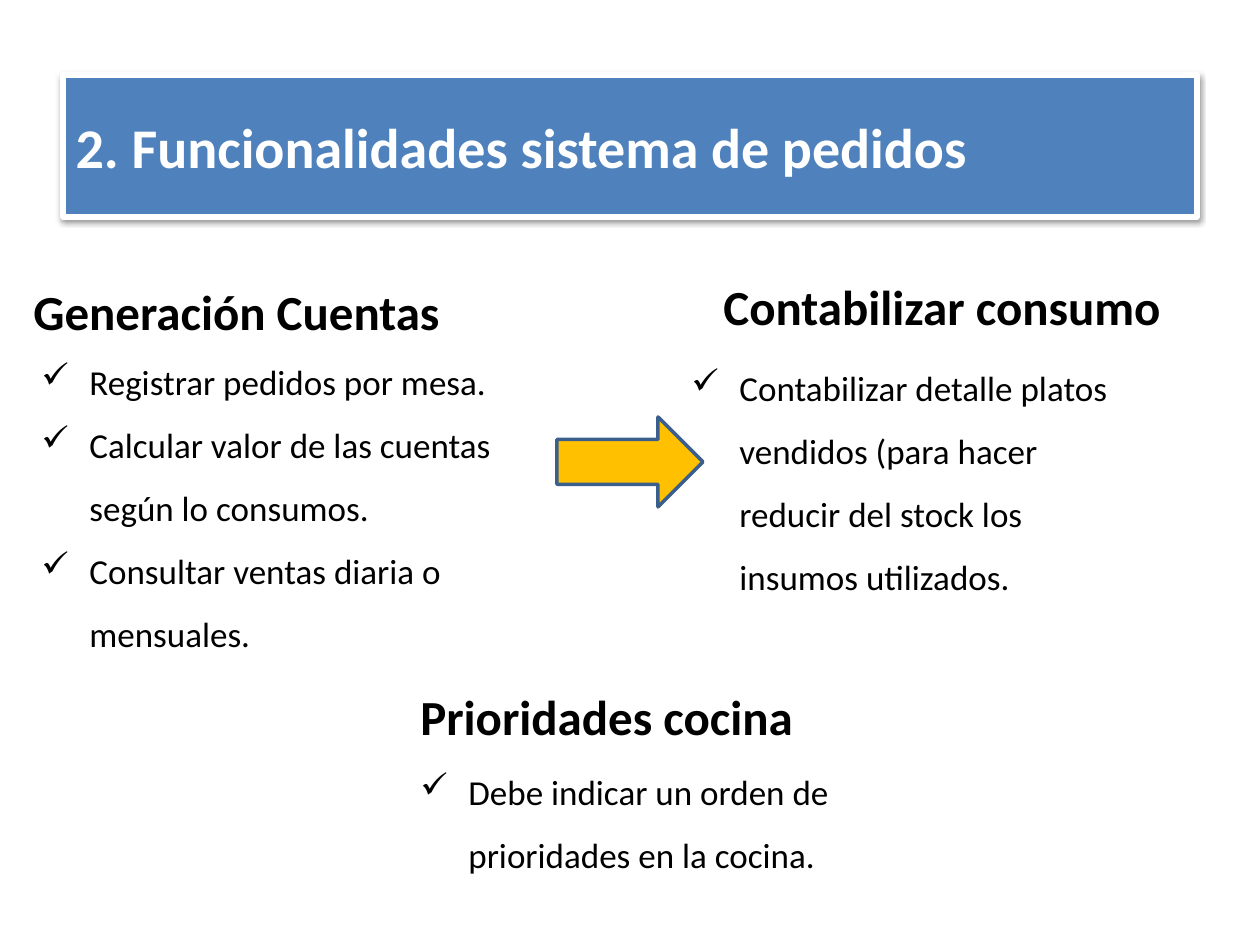
"""Build the slide on the functions of an ordering system."""
from dataclasses import dataclass

from lxml.etree import SubElement
from pptx import Presentation
from pptx.dml.color import RGBColor
from pptx.enum.shapes import MSO_SHAPE
from pptx.enum.text import MSO_ANCHOR, MSO_AUTO_SIZE, PP_ALIGN
from pptx.oxml.ns import qn
from pptx.util import Emu, Pt

SCALE = 914400 / 126
COLORS = {
    "banner": "4F81BD",
    "white": "FFFFFF",
    "black": "000000",
    "arrow": "FFC000",
    "outline": "3A5F8C",
}
TITLE_FONT = {"name": "Calibri", "size": Pt(32), "bold": True}
HEADING_FONT = {"name": "Calibri", "size": Pt(28), "bold": True}
ITEM_FONT = {"name": "Calibri", "size": Pt(20), "bold": False}
HEADING_FORMAT = {"alignment": PP_ALIGN.JUSTIFY}
ITEM_FORMAT = {"alignment": PP_ALIGN.LEFT, "line_spacing": 1.5}


@dataclass(frozen=True)
class Box:
    left: int
    top: int
    width: int
    height: int

    def emu(self) -> list[Emu]:
        return [px(n) for n in (self.left, self.top, self.width, self.height)]


@dataclass(frozen=True)
class Section:
    heading: str
    heading_box: Box
    items: tuple[str, ...]
    items_box: Box


SECTIONS = (
    Section(
        "Contabilizar consumo",
        Box(711, 270, 486, 63),
        ("Contabilizar detalle platos vendidos (para hacer reducir del stock "
         "los insumos utilizados.",),
        Box(679, 339, 466, 292),
    ),
    Section(
        "Generación Cuentas",
        Box(21, 275, 445, 64),
        ("Registrar pedidos por mesa.",
         "Calcular valor de las cuentas según lo consumos.",
         "Consultar ventas diaria o mensuales."),
        Box(29, 333, 493, 413),
    ),
    Section(
        "Prioridades cocina",
        Box(408, 680, 544, 52),
        ("Debe indicar un orden de prioridades en la cocina.",),
        Box(408, 743, 452, 145),
    ),
)


def px(n: int) -> Emu:
    return Emu(round(n * SCALE))


def rgb(name: str) -> RGBColor:
    return RGBColor.from_string(COLORS[name])


def set_attrs(obj, values: dict) -> None:
    for name, value in values.items():
        setattr(obj, name, value)


def write(p, text: str, font: dict, color: str, fmt: dict) -> None:
    set_attrs(p, fmt)
    r = p.add_run()
    r.text = text
    set_attrs(r.font, font)
    r.font.color.rgb = rgb(color)


def paint(sp, fill: str, line: str, width: float) -> None:
    sp.fill.solid()
    sp.fill.fore_color.rgb = rgb(fill)
    sp.line.color.rgb = rgb(line)
    sp.line.width = Pt(width)
    sp.shadow.inherit = False


def add_bullet(p) -> None:
    pPr = p._p.get_or_add_pPr()
    pPr.set("marL", str(px(48)))
    pPr.set("indent", str(-px(48)))
    color = SubElement(pPr, qn("a:buClr"))
    SubElement(color, qn("a:srgbClr"), val=COLORS["black"])
    SubElement(pPr, qn("a:buChar"), char="✓")


def add_text(slide, box: Box, texts: tuple[str, ...], font: dict, fmt: dict,
             bullets: bool = False) -> None:
    tf = slide.shapes.add_textbox(*box.emu()).text_frame
    tf.word_wrap = True
    for i, text in enumerate(texts):
        p = tf.add_paragraph() if i else tf.paragraphs[0]
        write(p, text, font, "black", fmt)
        if bullets:
            add_bullet(p)


def add_shadow(sp) -> None:
    effects = sp._element.spPr.find(qn("a:effectLst"))
    shadow = SubElement(effects, qn("a:outerShdw"), blurRad="40000",
                        dist="20000", dir="5400000", rotWithShape="0")
    color = SubElement(shadow, qn("a:srgbClr"), val=COLORS["black"])
    SubElement(color, qn("a:alpha"), val="38000")


def set_title(slide, box: Box, text: str) -> None:
    sp = slide.shapes.title
    set_attrs(sp, dict(zip(("left", "top", "width", "height"), box.emu())))
    paint(sp, "banner", "white", 3)
    add_shadow(sp)
    tf = sp.text_frame
    set_attrs(tf, {"word_wrap": True, "auto_size": MSO_AUTO_SIZE.NONE,
                   "vertical_anchor": MSO_ANCHOR.MIDDLE})
    write(tf.paragraphs[0], text, TITLE_FONT, "white", HEADING_FORMAT)


def main() -> None:
    prs = Presentation()
    prs.slide_width, prs.slide_height = px(1260), px(945)
    slide = prs.slides.add_slide(prs.slide_layouts[5])
    set_title(slide, Box(63, 75, 1134, 142),
              "2. Funcionalidades sistema de pedidos")
    for s in SECTIONS:
        add_text(slide, s.heading_box, (s.heading,), HEADING_FONT, HEADING_FORMAT)
        add_text(slide, s.items_box, s.items, ITEM_FONT, ITEM_FORMAT, bullets=True)
    arrow = slide.shapes.add_shape(MSO_SHAPE.RIGHT_ARROW,
                                   *Box(557, 417, 146, 90).emu())
    paint(arrow, "arrow", "outline", 2)
    prs.save("out.pptx")


main()
